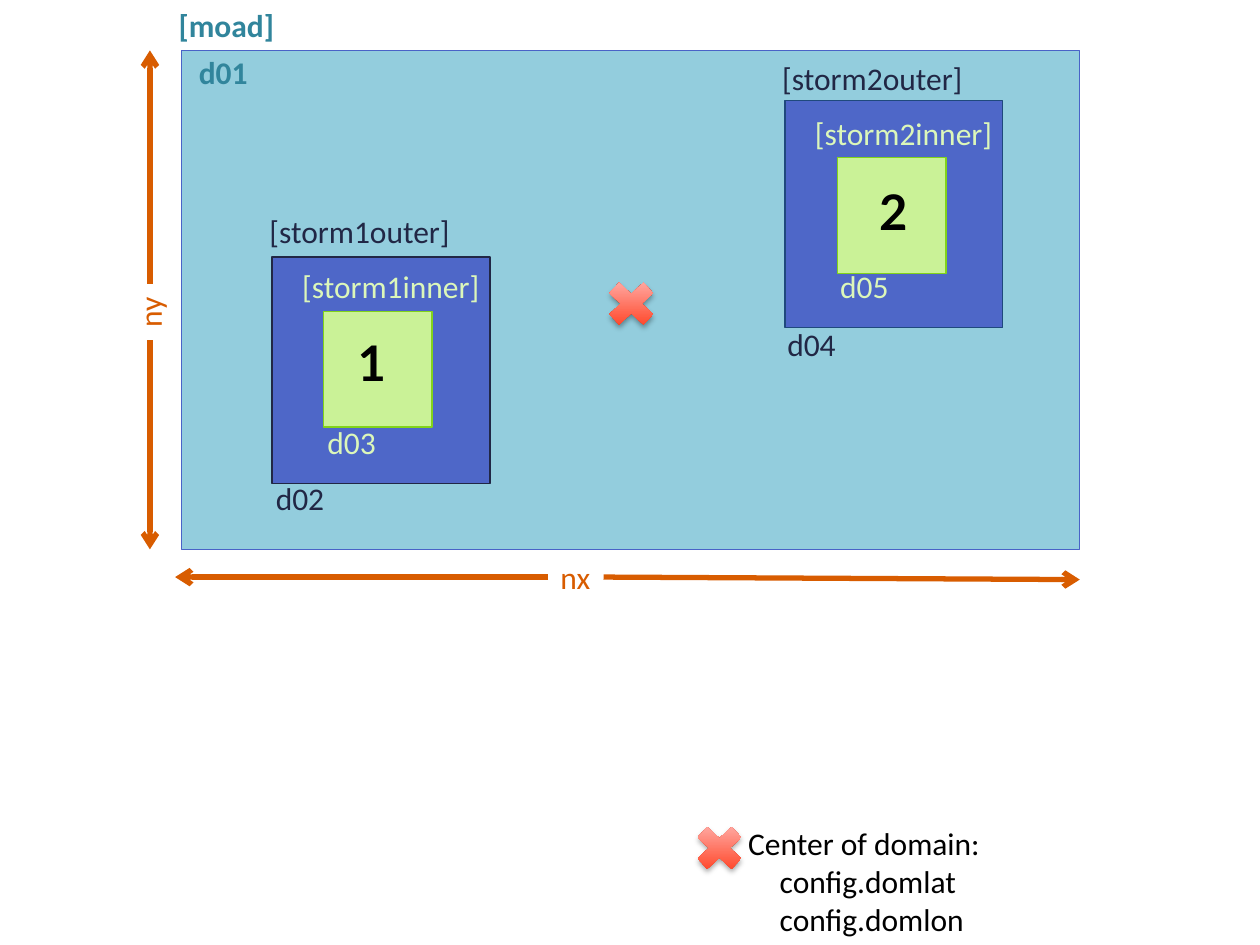
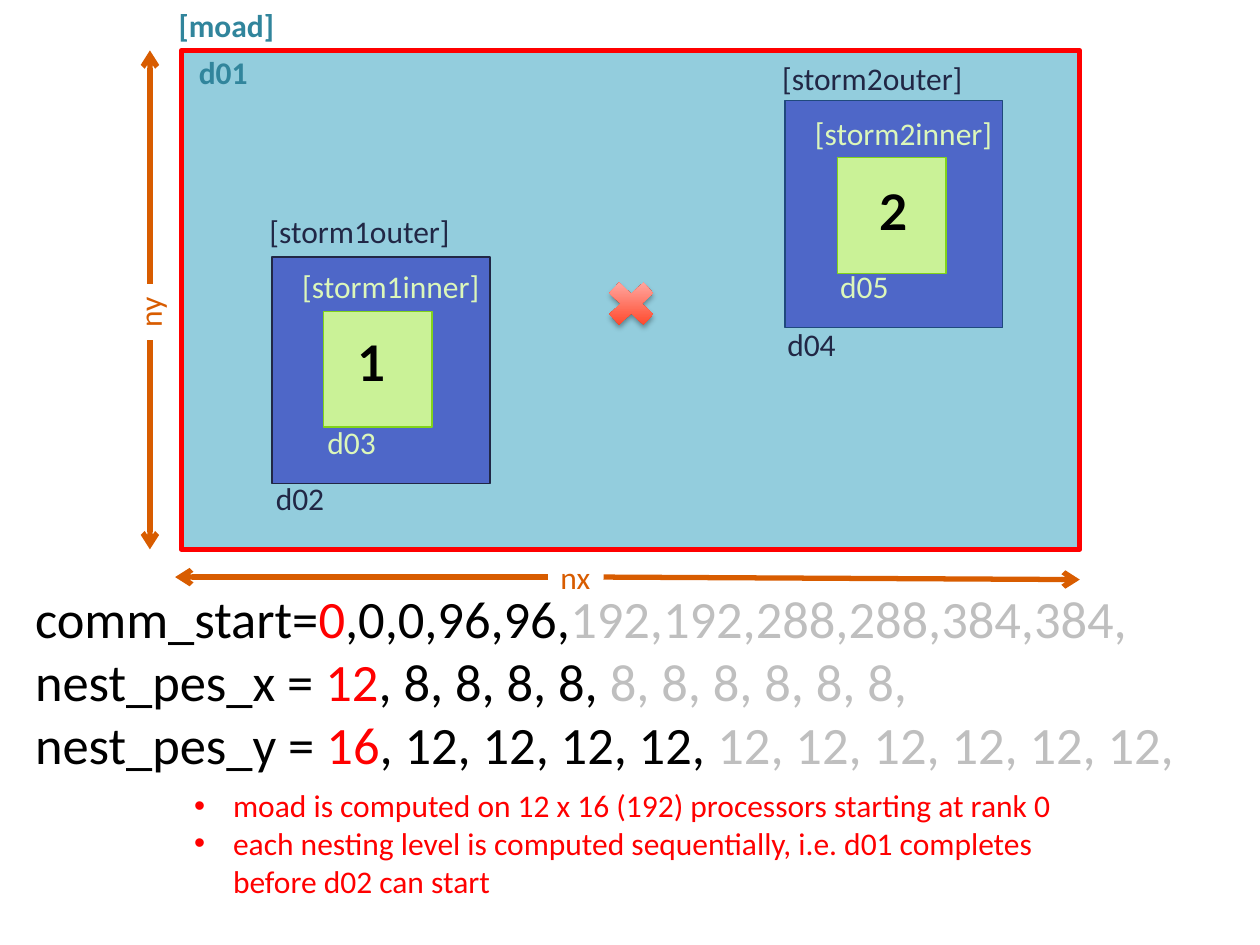
"""Build two slides on nested storm domains and their processor layout."""
from lxml import etree
from pptx import Presentation
from pptx.dml.color import RGBColor
from pptx.enum.shapes import MSO_CONNECTOR, MSO_SHAPE
from pptx.enum.text import MSO_ANCHOR, MSO_AUTO_SIZE
from pptx.oxml.ns import qn
from pptx.util import Inches, Pt

BLACK = RGBColor(0x00, 0x00, 0x00)
RED = RGBColor(0xFF, 0x00, 0x00)
GRAY = RGBColor(0xBF, 0xBF, 0xBF)
TEAL = RGBColor(0x31, 0x85, 0x9C)
SKY = RGBColor(0x93, 0xCD, 0xDD)
BLUE = RGBColor(0x4E, 0x67, 0xC8)
EDGE_BLUE = RGBColor(0x49, 0x63, 0xC7)
NAVY = RGBColor(0x21, 0x27, 0x45)
STEEL = RGBColor(0x1F, 0x49, 0x7D)
LIME = RGBColor(0xCA, 0xF2, 0x97)
GREEN = RGBColor(0x81, 0xD3, 0x1A)
PALE_LIME = RGBColor(0xDC, 0xF7, 0xBA)
ORANGE = RGBColor(0xD8, 0x5C, 0x00)
CROSS_BOTTOM = RGBColor(0xFF, 0x37, 0x16)
CROSS_TOP = RGBColor(0xFF, 0xBA, 0xB7)

BODY_FONT, NUMBER_FONT = "Calibri", "Lato"
MOAD_BOX = (1.44, 0.4, 7.13, 3.96)
OUTER_SIZE, INNER_SIZE, CROSS_SIZE = (1.73, 1.8), (0.86, 0.92), (0.52, 0.48)
DOMAIN_CENTER, LEGEND_CROSS = (4.75, 2.17), (5.45, 6.49)
LABEL_HEIGHT = 0.4

STORMS = [
    {"outer": (2.16, 2.04), "edge": NAVY, "inner": (2.57, 2.47), "number": ("1", 2.74, 2.59)},
    {"outer": (6.23, 0.8), "edge": STEEL, "inner": (6.65, 1.25), "number": ("2", 6.88, 1.39)},
]
LABELS = [
    ("[moad]", 1.32, 0, 0.97, TEAL),
    ("d01", 1.48, 0.37, 0.59, TEAL),
    ("[storm1outer]", 2.04, 1.63, 1.65, NAVY),
    ("[storm1inner]", 2.3, 2.07, 1.63, PALE_LIME),
    ("d02", 2.09, 3.75, 0.59, NAVY),
    ("d03", 2.5, 3.31, 0.59, PALE_LIME),
    ("[storm2outer]", 6.11, 0.42, 1.65, NAVY),
    ("[storm2inner]", 6.37, 0.86, 1.63, PALE_LIME),
    ("d04", 6.15, 2.53, 0.59, NAVY),
    ("d05", 6.57, 2.07, 0.59, PALE_LIME),
]
ARROWS = [
    (4.79, 4.58, 8.57, 4.6),
    (4.35, 4.58, 1.39, 4.58),
    (1.19, 2.7, 1.19, 4.36),
    (1.19, 2.25, 1.19, 0.4),
]
LEGEND = ["Center of domain:", "config.domlat", "config.domlon"]
SETTINGS = [
    ("comm_start=", "0", ",0,0,96,96,", "192,192,288,288,384,384,"),
    ("nest_pes_x = ", "12", ", 8, 8, 8, 8,", " 8, 8, 8, 8, 8, 8,"),
    ("nest_pes_y = ", "16", ", 12, 12, 12, 12, ", "12, 12, 12, 12, 12, 12,"),
]
SETTING_COLORS = (BLACK, RED, BLACK, GRAY)
NOTES = [
    "moad is computed on 12 x 16 (192) processors starting at rank 0 ",
    "each nesting level is computed sequentially, i.e. d01 completes before d02 can start",
]


def inches(values):
    return [Inches(value) for value in values]


def add_run(paragraph, text, color, size=18, bold=None, font=BODY_FONT):
    run = paragraph.add_run()
    run.text = text
    run.font.name, run.font.size, run.font.bold = font, Pt(size), bold
    run.font.color.rgb = color


def add_paragraphs(frame, lines, size=18, bold=None, font=BODY_FONT):
    for index, runs in enumerate(lines):
        paragraph = frame.add_paragraph() if index else frame.paragraphs[0]
        for text, color in runs:
            add_run(paragraph, text, color, size, bold, font)


def add_text(slide, box, lines, wrap=False, **style):
    shape = slide.shapes.add_textbox(*inches(box))
    frame = shape.text_frame
    frame.word_wrap = wrap
    frame.auto_size = MSO_AUTO_SIZE.SHAPE_TO_FIT_TEXT
    add_paragraphs(frame, lines, **style)
    return shape


def indent(paragraph, left, first=0):
    properties = paragraph._p.get_or_add_pPr()
    properties.set("marL", str(Inches(left)))
    properties.set("indent", str(Inches(first)))


def add_box(slide, box, fill, edge, width=0.75):
    shape = slide.shapes.add_shape(MSO_SHAPE.RECTANGLE, *inches(box))
    shape.shadow.inherit = False
    shape.fill.solid()
    shape.fill.fore_color.rgb = fill
    shape.line.color.rgb = edge
    shape.line.width = Pt(width)


def add_cross(slide, position):
    cross = slide.shapes.add_shape(MSO_SHAPE.MATH_MULTIPLY, *inches(position + CROSS_SIZE))
    cross.fill.gradient()
    cross.fill.gradient_angle = 90
    for stop, place, color in zip(cross.fill.gradient_stops, (0, 1), (CROSS_BOTTOM, CROSS_TOP)):
        stop.position = place
        stop.color.rgb = color
    cross.line.fill.background()
    cross.shadow.inherit = False
    effects = cross._element.spPr.find(qn("a:effectLst"))
    shadow = etree.SubElement(effects, qn("a:outerShdw"), blurRad=str(Pt(3.1)),
                              dist=str(Pt(1.8)), dir="5400000", rotWithShape="0")
    color = etree.SubElement(shadow, qn("a:srgbClr"), val="000000")
    etree.SubElement(color, qn("a:alpha"), val="35000")


def add_arrow(slide, ends):
    arrow = slide.shapes.add_connector(MSO_CONNECTOR.STRAIGHT, *inches(ends))
    arrow.line.color.rgb = ORANGE
    arrow.line.width = Pt(3)
    etree.SubElement(arrow.line._get_or_add_ln(), qn("a:tailEnd"), type="arrow")
    etree.SubElement(arrow._element.spPr, qn("a:effectLst"))


def add_domains(slide, edge, width):
    add_box(slide, MOAD_BOX, SKY, edge, width)
    for storm in STORMS:
        add_box(slide, storm["outer"] + OUTER_SIZE, BLUE, storm["edge"])
        add_box(slide, storm["inner"] + INNER_SIZE, LIME, GREEN)
        number, left, top = storm["number"]
        add_text(slide, (left, top, 0.44, 0.57), [[(number, BLACK)]],
                 size=28, bold=True, font=NUMBER_FONT)
    add_cross(slide, DOMAIN_CENTER)
    for ends in ARROWS:
        add_arrow(slide, ends)
    across = add_text(slide, (4.35, 4.38, 0.44, LABEL_HEIGHT), [[("nx", ORANGE)]])
    across.text_frame.vertical_anchor = MSO_ANCHOR.BOTTOM
    add_text(slide, (0.96, 2.27, 0.45, LABEL_HEIGHT), [[("ny", ORANGE)]]).rotation = 270
    for text, left, top, label_width, color in LABELS:
        add_text(slide, (left, top, label_width, LABEL_HEIGHT), [[(text, color)]],
                 bold=True if color == TEAL else None)


def build_overview(deck):
    slide = deck.slides.add_slide(deck.slide_layouts[6])
    add_domains(slide, EDGE_BLUE, 0.75)
    add_cross(slide, LEGEND_CROSS)
    legend = add_text(slide, (5.84, 6.49, 2.06, 1.01), [[(line, BLACK)] for line in LEGEND])
    for paragraph in legend.text_frame.paragraphs[1:]:
        indent(paragraph, 0.25)


def build_processors(deck):
    slide = deck.slides.add_slide(deck.slide_layouts[1])
    title = slide.shapes.title._element
    title.getparent().remove(title)
    add_domains(slide, RED, 3)
    add_text(slide, (0.18, 4.6, 9.53, 1.62),
             [list(zip(parts, SETTING_COLORS)) for parts in SETTINGS], wrap=True, size=30)
    body = slide.placeholders[1]
    body.left, body.top, body.width, body.height = inches((1.44, 6.19, 7.26, 1.31))
    body.text_frame.auto_size = MSO_AUTO_SIZE.NONE
    add_paragraphs(body.text_frame, [[(note, RED)] for note in NOTES])
    for paragraph in body.text_frame.paragraphs:
        paragraph.space_before = Pt(0)
        indent(paragraph, 0.31, -0.31)


deck = Presentation()
deck.slide_width, deck.slide_height = Inches(10), Inches(7.5)
build_overview(deck)
build_processors(deck)
deck.save("out.pptx")
